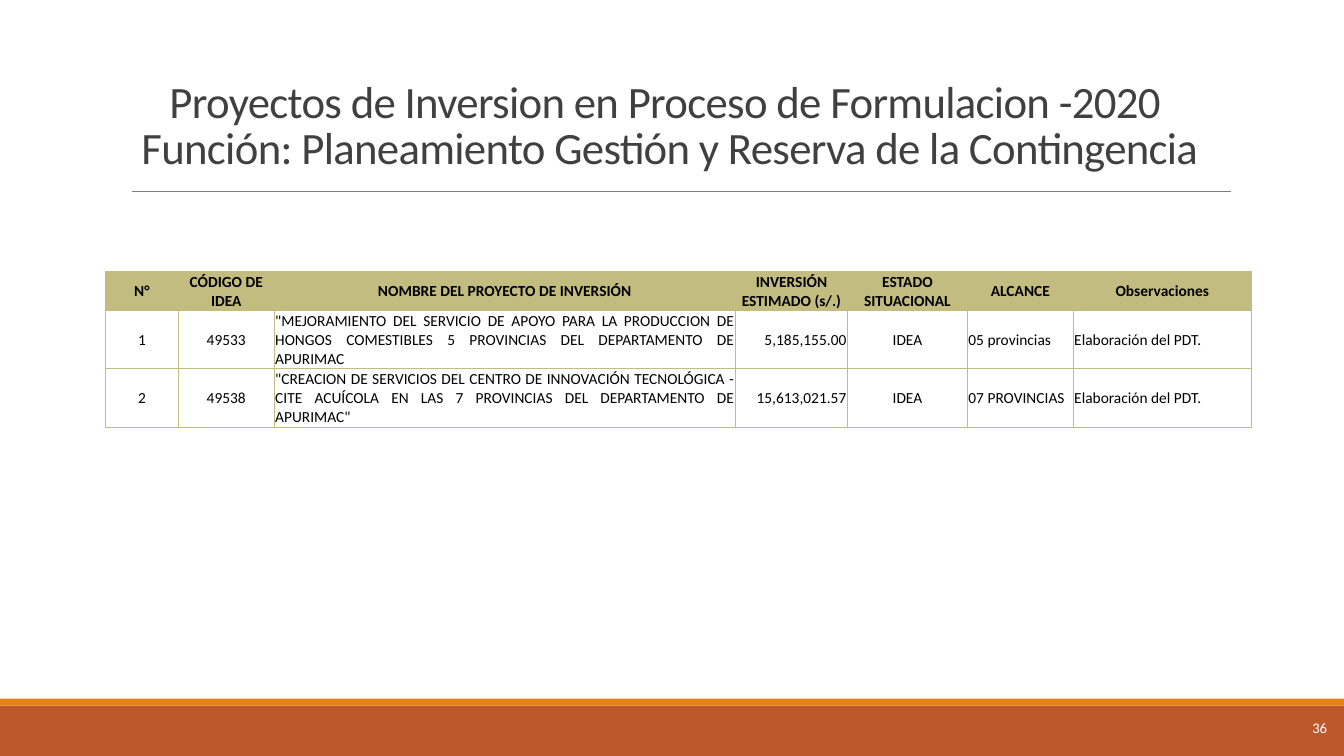
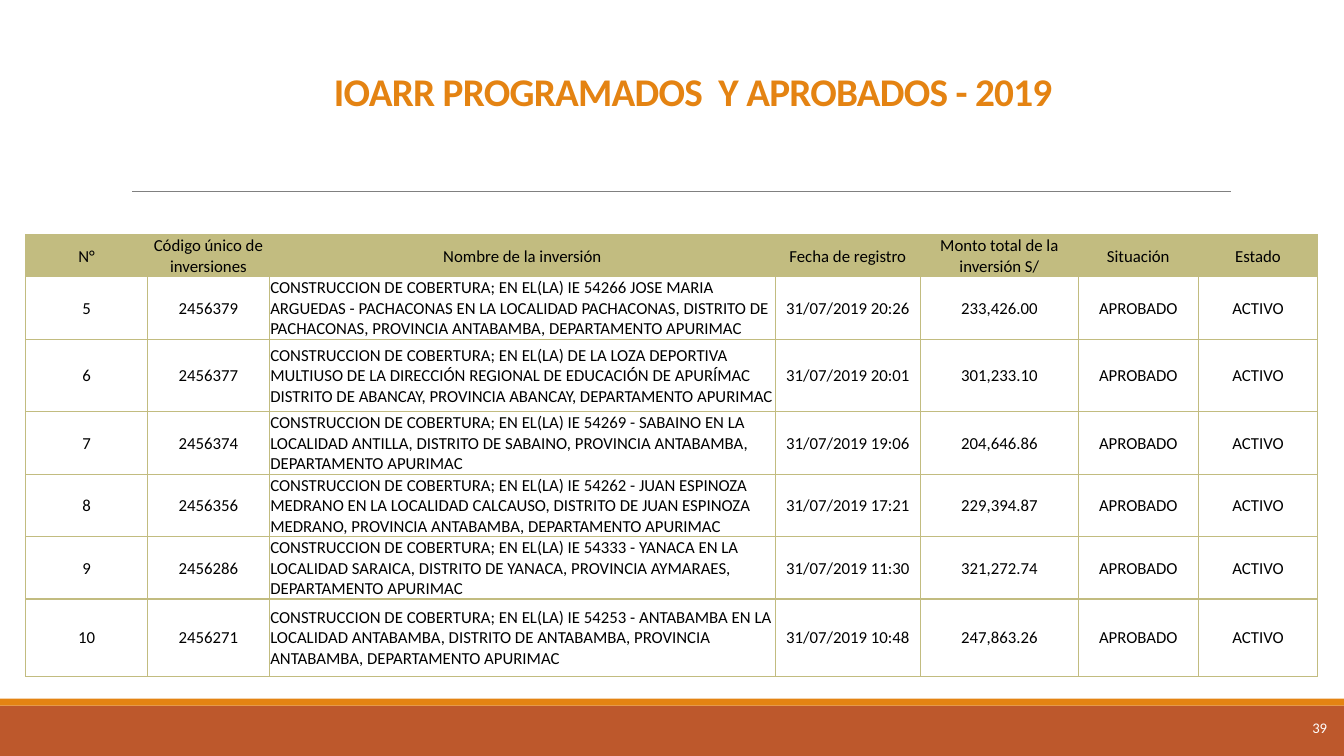
from dataclasses import dataclass

import lxml.etree
import pptx
import pptx.dml.color
import pptx.enum.shapes
import pptx.enum.text
import pptx.oxml.ns
import pptx.util

Pt = pptx.util.Pt
ALIGN = pptx.enum.text.PP_ALIGN
ANCHOR = pptx.enum.text.MSO_ANCHOR
LEFT, CENTER, RIGHT, JUSTIFY = ALIGN.LEFT, ALIGN.CENTER, ALIGN.RIGHT, ALIGN.JUSTIFY


@dataclass(frozen=True)
class Theme:
    font: str = "Calibri"
    band: str = "BD582C"
    accent: str = "E48312"
    rule: str = "808080"
    title: str = "404040"
    table: str = "C2BC80"
    text: str = "000000"
    white: str = "FFFFFF"
    title_size: float = 32
    small_title_size: float = 28
    number_size: float = 10.5
    letter_spacing: int = -50


@dataclass(frozen=True)
class Box:
    left: float
    top: float
    width: float
    height: float

    def points(self):
        return Pt(self.left), Pt(self.top), Pt(self.width), Pt(self.height)


THEME = Theme()
PAGE = Box(0, 0, 960, 540)
FOOTER = Box(0, 499, 960, 41)
TITLE_RULE = Box(94.5, 136.6, 784.5, 0)


def color(value):
    return pptx.dml.color.RGBColor.from_string(value)


def set_font(para, size, value, bold=False):
    para.font.name = THEME.font
    para.font.size = Pt(size)
    para.font.bold = bold
    para.font.color.rgb = color(value)


def set_frame(frame, anchor):
    frame.word_wrap = True
    frame.auto_size = pptx.enum.text.MSO_AUTO_SIZE.NONE
    frame.vertical_anchor = anchor
    frame.margin_left = frame.margin_right = frame.margin_top = frame.margin_bottom = 0


def add_band(page, box, value):
    band = page.shapes.add_shape(pptx.enum.shapes.MSO_SHAPE.RECTANGLE, *box.points())
    band.shadow.inherit = False
    band.fill.solid()
    band.fill.fore_color.rgb = color(value)
    band.line.fill.background()


def add_footer(page, box, number):
    stripe = 5
    add_band(page, Box(box.left, box.top + stripe, box.width, box.height - stripe), THEME.band)
    add_band(page, Box(box.left, box.top, box.width, stripe), THEME.accent)

    # Page number
    number_box = Box(box.left + box.width - 69.5, box.top, 57.5, box.height)
    frame = page.shapes.add_textbox(*number_box.points()).text_frame
    set_frame(frame, ANCHOR.MIDDLE)
    para = frame.paragraphs[0]
    para.text = number
    para.alignment = RIGHT
    set_font(para, THEME.number_size, THEME.white)


def add_rule(page, box):
    rule = page.shapes.add_connector(
        pptx.enum.shapes.MSO_CONNECTOR.STRAIGHT,
        Pt(box.left), Pt(box.top), Pt(box.left + box.width), Pt(box.top))
    rule.line.color.rgb = color(THEME.rule)
    rule.line.width = Pt(0.5)
    lxml.etree.SubElement(rule.element.spPr, pptx.oxml.ns.qn("a:effectLst"))


def add_title(page, box, text, size, value, bold=False, line_spacing=1.0):
    title = page.shapes.title
    title.left, title.top, title.width, title.height = box.points()
    set_frame(title.text_frame, ANCHOR.BOTTOM)
    para = title.text_frame.paragraphs[0]
    para.text = text
    para.alignment = CENTER
    para.line_spacing = line_spacing
    set_font(para, size, value, bold)
    for span in para.runs:
        span.font.size = Pt(size)
        span.font.element.set("spc", str(THEME.letter_spacing)) if hasattr(
            span.font, "element") else span.font._element.set("spc", str(THEME.letter_spacing))


def set_borders(cell):
    properties = cell._tc.get_or_add_tcPr()
    for side in ("lnL", "lnR", "lnT", "lnB"):
        line = lxml.etree.SubElement(properties, pptx.oxml.ns.qn("a:" + side), w=str(Pt(1)))
        fill = lxml.etree.SubElement(line, pptx.oxml.ns.qn("a:solidFill"))
        lxml.etree.SubElement(fill, pptx.oxml.ns.qn("a:srgbClr"), val=THEME.table)


def fill_cell(cell, text, alignment, size, is_header, bold):
    cell.margin_left = cell.margin_right = cell.margin_top = Pt(0.7)
    cell.margin_bottom = 0
    cell.vertical_anchor = ANCHOR.MIDDLE
    set_borders(cell)
    if is_header:
        cell.fill.solid()
        cell.fill.fore_color.rgb = color(THEME.table)
    else:
        cell.fill.background()
    para = cell.text_frame.paragraphs[0]
    para.text = text
    para.alignment = CENTER if is_header else alignment
    set_font(para, size, THEME.text, bold)


def add_project_table(page, left, top, widths, heights, rows, alignments, size, bold_header):
    box = Box(left, top, sum(widths), sum(heights))
    table = page.shapes.add_table(len(rows), len(widths), *box.points()).table
    table.first_row = table.horz_banding = False
    for column, width in zip(table.columns, widths):
        column.width = Pt(width)
    for row, height in zip(table.rows, heights):
        row.height = Pt(height)
    for row_index, values in enumerate(rows):
        is_header = row_index == 0
        for column_index, text in enumerate(values):
            fill_cell(table.cell(row_index, column_index), text, alignments[column_index],
                      size, is_header, is_header and bold_header)


def add_page(deck, number):
    page = deck.slides.add_slide(deck.slide_layouts.get_by_name("Title Only"))
    add_footer(page, FOOTER, number)
    add_rule(page, TITLE_RULE)
    return page


def add_formulation_page(deck):
    page = add_page(deck, "36")
    add_title(page, Box(62.6, 15.8, 831.6, 108),
              "Proyectos de Inversion en Proceso de Formulacion -2020 \v"
              "Función: Planeamiento Gestión y Reserva de la Contingencia",
              THEME.title_size, THEME.title, line_spacing=0.85)
    rows = [
        ("N°", "CÓDIGO DE IDEA", "NOMBRE DEL PROYECTO DE INVERSIÓN",
         "INVERSIÓN ESTIMADO (s/.)", "ESTADO SITUACIONAL", "ALCANCE", "Observaciones"),
        ("1", "49533",
         "\"MEJORAMIENTO DEL SERVICIO DE APOYO PARA LA PRODUCCION DE HONGOS COMESTIBLES "
         "5 PROVINCIAS DEL DEPARTAMENTO DE APURIMAC",
         "5,185,155.00", "IDEA", "05 provincias", "Elaboración del PDT."),
        ("2", "49538",
         "\"CREACION DE SERVICIOS DEL CENTRO DE INNOVACIÓN TECNOLÓGICA - CITE ACUÍCOLA "
         "EN LAS 7 PROVINCIAS DEL DEPARTAMENTO DE APURIMAC\"",
         "15,613,021.57", "IDEA", "07 PROVINCIAS", "Elaboración del PDT."),
    ]
    add_project_table(page, 75.4, 193.7, (52, 68.5, 329.5, 80, 85.7, 75.6, 127.4),
                      (28, 41.8, 41.8), rows,
                      (CENTER, CENTER, JUSTIFY, RIGHT, CENTER, LEFT, JUSTIFY),
                      size=11, bold_header=True)


def add_approved_page(deck):
    page = add_page(deck, "39")
    add_title(page, Box(79.2, 41, 831.6, 41), "IOARR PROGRAMADOS  Y APROBADOS - 2019",
              THEME.small_title_size, THEME.accent, bold=True)
    header = ("N°", "Código único de inversiones", "Nombre de la inversión",
              "Fecha de registro", "Monto total de la inversión S/", "Situación", "Estado")
    investments = [
        ("2456379", "IE 54266 JOSE MARIA ARGUEDAS - PACHACONAS EN LA LOCALIDAD PACHACONAS, "
         "DISTRITO DE PACHACONAS, PROVINCIA ANTABAMBA", "20:26", "233,426.00"),
        ("2456377", "DE LA LOZA DEPORTIVA MULTIUSO DE LA DIRECCIÓN REGIONAL DE EDUCACIÓN "
         "DE APURÍMAC DISTRITO DE ABANCAY, PROVINCIA ABANCAY", "20:01", "301,233.10"),
        ("2456374", "IE 54269 - SABAINO EN LA LOCALIDAD ANTILLA, DISTRITO DE SABAINO, "
         "PROVINCIA ANTABAMBA", "19:06", "204,646.86"),
        ("2456356", "IE 54262 - JUAN ESPINOZA MEDRANO EN LA LOCALIDAD CALCAUSO, "
         "DISTRITO DE JUAN ESPINOZA MEDRANO, PROVINCIA ANTABAMBA", "17:21", "229,394.87"),
        ("2456286", "IE 54333 - YANACA EN LA LOCALIDAD SARAICA, DISTRITO DE YANACA, "
         "PROVINCIA AYMARAES", "11:30", "321,272.74"),
        ("2456271", "IE 54253 - ANTABAMBA EN LA LOCALIDAD ANTABAMBA, DISTRITO DE ANTABAMBA, "
         "PROVINCIA ANTABAMBA", "10:48", "247,863.26"),
    ]
    rows = [header] + [
        (str(number), code,
         f"CONSTRUCCION DE COBERTURA; EN EL(LA) {place}, DEPARTAMENTO APURIMAC",
         f"31/07/2019 {time}", amount, "APROBADO", "ACTIVO")
        for number, (code, place, time, amount) in enumerate(investments, start=5)]
    add_project_table(page, 18.4, 167.8, (87, 87, 361.5, 103.5, 113, 85.5, 85.5),
                      (29.5, 44.6, 51.8, 44.6, 44.6, 44.6, 55.2), rows,
                      (CENTER, CENTER, LEFT, CENTER, CENTER, CENTER, CENTER),
                      size=12, bold_header=False)


def main():
    deck = pptx.Presentation()
    deck.slide_width, deck.slide_height = Pt(PAGE.width), Pt(PAGE.height)
    add_formulation_page(deck)
    add_approved_page(deck)
    deck.save("out.pptx")


if __name__ == "__main__":
    main()
